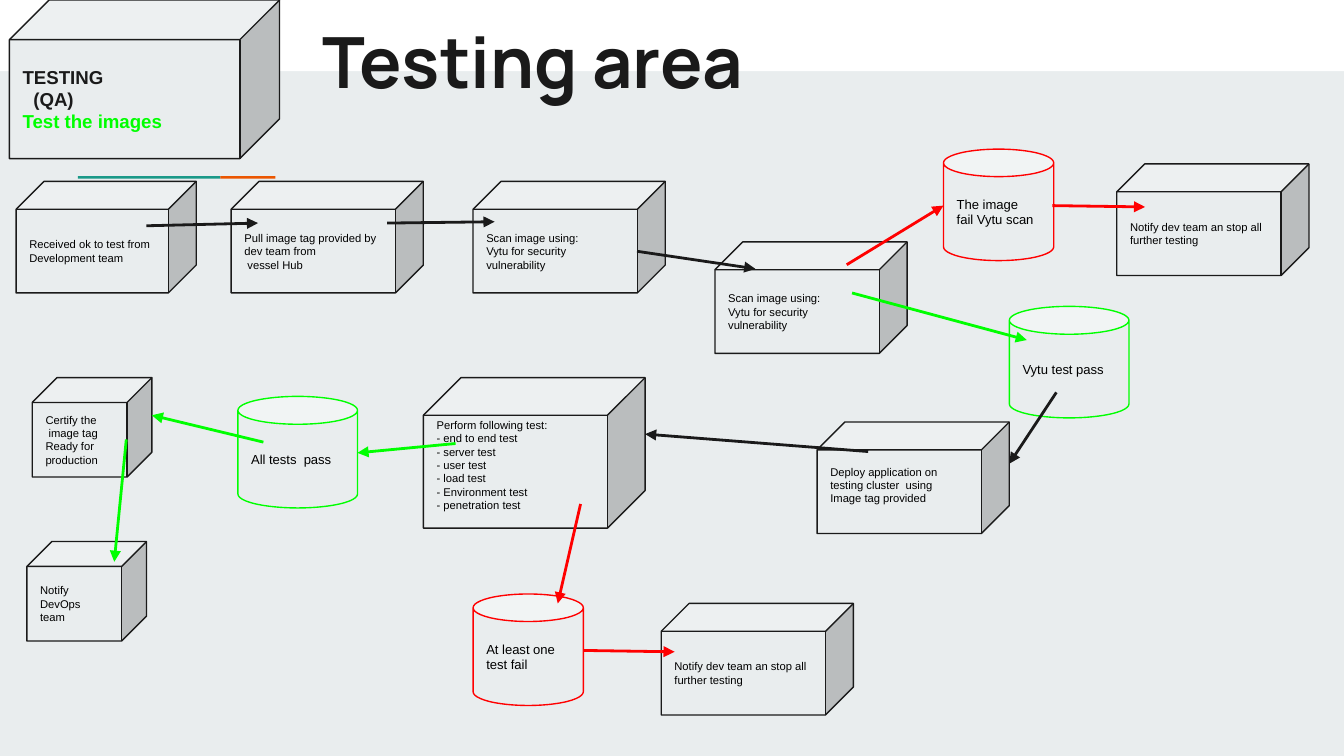
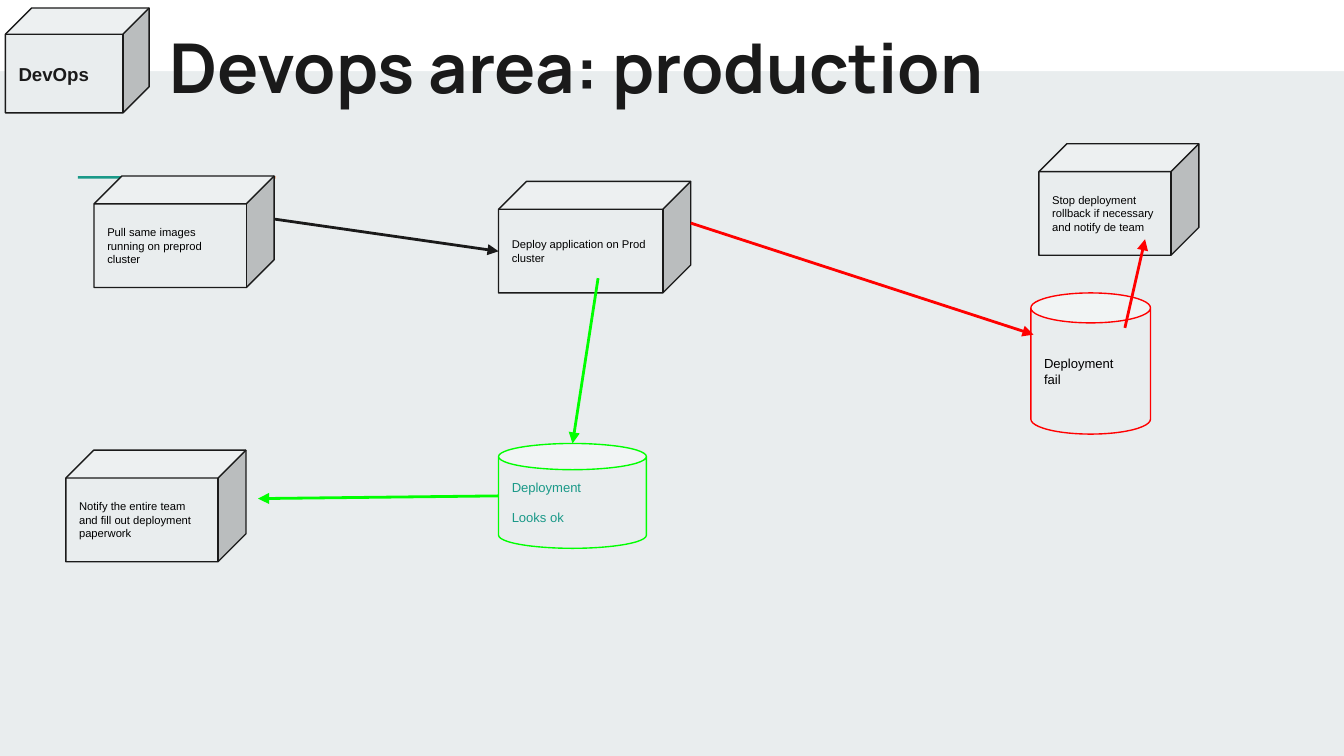
from dataclasses import dataclass, field

from lxml import etree
from pptx import Presentation, util as u
from pptx.dml.color import RGBColor
from pptx.enum import shapes, text
from pptx.oxml import ns

PX = u.Inches(1) // 100
WIDTH = 1000 * PX
HEIGHT = WIDTH * 9 // 16
INSET = 10

INK = RGBColor(0x1A, 0x1A, 0x1A)
BLACK = RGBColor(0, 0, 0)
WHITE = RGBColor(0xFF, 0xFF, 0xFF)
PALE = RGBColor(0xE9, 0xED, 0xEE)
TEAL = RGBColor(0x1A, 0x99, 0x88)
ORANGE = RGBColor(0xEB, 0x56, 0x00)
RED = RGBColor(0xFF, 0, 0)
GREEN = RGBColor(0, 0xFF, 0)

BODY_FONT = "Arial"
TITLE_FONT = "Manrope"

# Shared background: left, top, width, height, colour
BANDS = [
    (0, 0, 1000, 53, WHITE),
    (58, 131, 106, 2, TEAL),
    (164, 131, 41, 2, ORANGE),
]


@dataclass
class Node:
    """A cube or can; raised adds px below its text, gap adds points between lines."""
    box: tuple
    lines: list
    outline: RGBColor = INK
    kind: shapes.MSO_SHAPE = shapes.MSO_SHAPE.CUBE
    size: int = 6
    bold: bool = False
    colour: RGBColor = BLACK
    last_colour: RGBColor = None
    indents: dict = field(default_factory=dict)
    raised: int = 0
    gap: int = 0


def badge(box, lines, **options):
    return Node(box, lines, size=10, bold=True, colour=INK, **options)


def can(box, lines, outline, **options):
    return Node(box, lines, outline, shapes.MSO_SHAPE.CAN, size=7, **options)


SCAN = ["Scan image using:", "Vytu for security vulnerability"]
STOP = ["Notify dev team an stop all further testing"]

SLIDES = [
    {
        "title": ("Testing area", 230, 8, 37.8),
        "nodes": [
            badge((7, 0, 201, 118), ["TESTING", "(QA)", "Test the images"],
                  last_colour=GREEN, indents={1: 8}),
            Node((12, 135, 134, 83), ["Received ok to test from", "Development team"]),
            Node((172, 135, 143, 83),
                 ["Pull image tag provided by dev team from", " vessel Hub"]),
            Node((352, 135, 143, 83), SCAN),
            Node((532, 180, 143, 83), SCAN),
            can((702, 111, 82, 83), ["The image", "fail Vytu scan"], RED),
            can((751, 228, 89, 83), ["Vytu test pass"], GREEN),
            Node((831, 122, 143, 83), STOP),
            Node((608, 314, 143, 83),
                 ["Deploy application on testing cluster  using", "Image tag provided"],
                 raised=10),
            Node((315, 281, 165, 112),
                 ["Perform following test:", "- end to end test", "- server test",
                  "- user test", "- load test", "- Environment test",
                  "- penetration test"], raised=10),
            can((352, 442, 82, 83), ["At least one test fail"], RED),
            Node((492, 449, 143, 83), STOP),
            can((177, 295, 89, 83), ["All tests  pass"], GREEN),
            Node((24, 281, 89, 74), ["Certify the", " image tag", "Ready for production"]),
            Node((20, 403, 89, 74), ["Notify DevOps team"]),
        ],
        "arrows": {
            INK: [(109, 168, 192, 166), (288, 166, 368, 165), (474, 187, 562, 200),
                  (786, 292, 751, 345), (646, 336, 480, 323)],
            RED: [(630, 197, 702, 153), (783, 153, 852, 154),
                  (434, 484, 502, 485), (432, 375, 415, 449)],
            GREEN: [(634, 218, 764, 253), (339, 330, 266, 337),
                    (196, 329, 113, 309), (94, 327, 85, 418)],
        },
    },
    {
        "title": ("Devops area: production", 116, 13, 36.8),
        "nodes": [
            badge((4, 6, 107, 78), ["DevOps"]),
            Node((70, 131, 134, 83), ["Pull same images running on preprod cluster"]),
            Node((371, 135, 143, 83), ["Deploy application on Prod cluster"]),
            can((767, 218, 89, 105), ["Deployment", "fail"], RED),
            can((371, 330, 110, 78), ["Deployment", "Looks ok"], GREEN,
                colour=TEAL, gap=8),
            Node((773, 107, 119, 83),
                 ["Stop deployment rollback if necessary and notify de team"]),
            Node((49, 335, 134, 83),
                 ["Notify the entire team and fill out deployment paperwork"]),
        ],
        "arrows": {
            INK: [(204, 163, 371, 187)],
            RED: [(514, 166, 769, 249), (837, 244, 852, 178)],
            GREEN: [(371, 369, 192, 371), (445, 207, 426, 330)],
        },
    },
]


def scaled(lengths):
    return [length * PX for length in lengths]


def set_font(paragraph, name, size, bold, colour):
    font = paragraph.font
    font.name, font.size, font.bold = name, u.Pt(size), bold
    font.color.rgb = colour


def prepare_frame(frame, anchor, raised=0):
    frame.word_wrap = True
    frame.vertical_anchor = anchor
    frame.margin_left = frame.margin_right = frame.margin_top = INSET * PX
    frame.margin_bottom = (INSET + raised) * PX


def add_filled(slide, kind, box, colour):
    shape = slide.shapes.add_shape(kind, *scaled(box))
    shape.shadow.inherit = False
    shape.fill.solid()
    shape.fill.fore_color.rgb = colour
    return shape


def add_title(slide, title, left, top, size):
    frame = slide.shapes.add_textbox(*scaled((left, top, 898, 64))).text_frame
    prepare_frame(frame, text.MSO_ANCHOR.TOP)
    paragraph = frame.paragraphs[0]
    paragraph.text = title
    paragraph.line_spacing = 0.95
    set_font(paragraph, TITLE_FONT, size, True, INK)


def add_node(slide, node):
    shape = add_filled(slide, node.kind, node.box, PALE)
    shape.line.color.rgb = node.outline
    shape.line.width = u.Pt(0.75)
    frame = shape.text_frame
    prepare_frame(frame, text.MSO_ANCHOR.MIDDLE, node.raised)
    frame.text = "\n".join(node.lines)
    for index, paragraph in enumerate(frame.paragraphs):
        paragraph.alignment = text.PP_ALIGN.LEFT
        set_font(paragraph, BODY_FONT, node.size, node.bold, node.colour)
        if index and node.gap:
            paragraph.space_before = u.Pt(node.gap)
        if index in node.indents:
            properties = paragraph._p.get_or_add_pPr()
            properties.set("marL", str(node.indents[index] * PX))
    if node.last_colour:
        frame.paragraphs[-1].font.color.rgb = node.last_colour


def add_arrow(slide, ends, colour):
    arrow = slide.shapes.add_connector(shapes.MSO_CONNECTOR.STRAIGHT, *scaled(ends))
    arrow.line.color.rgb = colour
    arrow.line.width = u.Pt(1.5)
    etree.SubElement(arrow.line._get_or_add_ln(), ns.qn("a:tailEnd"), type="triangle")
    etree.SubElement(arrow._element.spPr, ns.qn("a:effectLst"))


def add_slide(presentation, content):
    slide = presentation.slides.add_slide(presentation.slide_layouts[6])
    slide.background.fill.solid()
    slide.background.fill.fore_color.rgb = PALE
    for *box, colour in BANDS:
        add_filled(slide, shapes.MSO_SHAPE.RECTANGLE, box, colour).line.fill.background()
    add_title(slide, *content["title"])
    for node in content["nodes"]:
        add_node(slide, node)
    for colour, arrows in content["arrows"].items():
        for ends in arrows:
            add_arrow(slide, ends, colour)


def main():
    presentation = Presentation()
    presentation.slide_width, presentation.slide_height = WIDTH, HEIGHT
    for content in SLIDES:
        add_slide(presentation, content)
    presentation.save("out.pptx")


if __name__ == "__main__":
    main()
